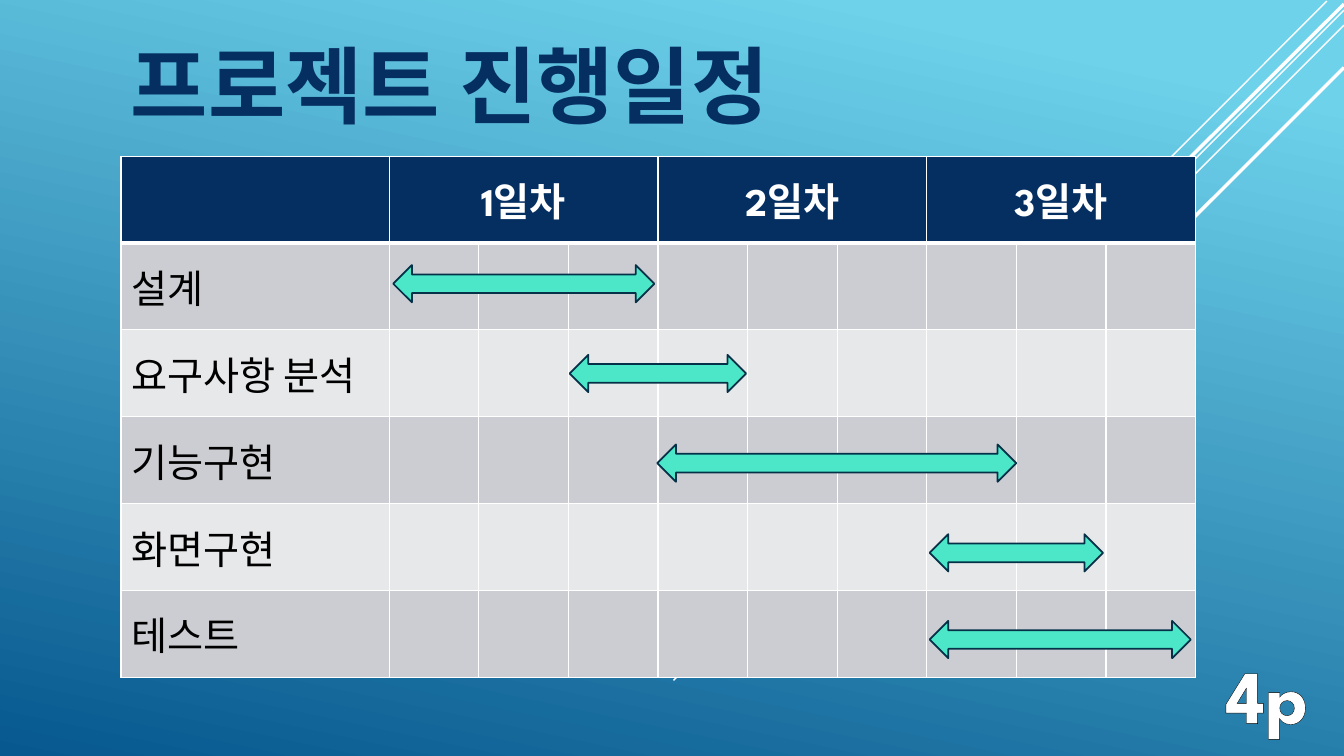
"""Build the three-day project schedule slide."""
from dataclasses import dataclass
from typing import NamedTuple

from lxml import etree
from pptx import Presentation
from pptx.dml.color import RGBColor
from pptx.enum.shapes import MSO_CONNECTOR, MSO_SHAPE
from pptx.enum.text import MSO_ANCHOR, MSO_AUTO_SIZE, PP_ALIGN
from pptx.oxml import parse_xml
from pptx.oxml.ns import nsdecls, qn
from pptx.slide import Slide
from pptx.table import _Cell
from pptx.text.text import TextFrame
from pptx.util import Inches, Pt

STRAIGHT = MSO_CONNECTOR.STRAIGHT
DOUBLE_ARROW = MSO_SHAPE.LEFT_RIGHT_ARROW
MIDDLE = MSO_ANCHOR.MIDDLE
FIT_SHAPE = MSO_AUTO_SIZE.SHAPE_TO_FIT_TEXT
LEFT, CENTER = PP_ALIGN.LEFT, PP_ALIGN.CENTER


@dataclass(frozen=True)
class Theme:
    """Colours, font and type sizes of the slide."""
    font: str = "League Spartan"
    sky: str = "6ED2EB"
    sea: str = "06588E"
    navy: str = "052F61"
    white: str = "FFFFFF"
    black: str = "000000"
    odd_row: str = "CCCDD2"
    even_row: str = "E7E8EA"
    bar: str = "4BE7C8"
    bar_edge: str = "043148"
    title_size: int = 60
    page_size: int = 54
    table_size: int = 28


class Ray(NamedTuple):
    """A diagonal background line, in inches, with its weight in points."""
    x1: float
    y1: float
    x2: float
    y2: float
    weight: float


class Task(NamedTuple):
    """A schedule row and the place of its bar in inches."""
    name: str
    left: float
    top: float
    width: float


THEME = Theme()
RAYS = [
    Ray(13.16, 0.01, 9, 4.18, 1),
    Ray(13.33, 0.1, 6.68, 6.75, 1),
    Ray(13.33, 0.25, 7.91, 5.67, 1),
    Ray(13.33, 0.04, 8.02, 5.34, 2.5),
    Ray(13.33, 0.67, 8.58, 5.42, 2.5),
]
DAYS = ["1일차", "2일차", "3일차"]
SLOTS_PER_DAY = 3
TASKS = [
    Task("설계", 3.9, 2.63, 2.59),
    Task("요구사항 분석", 5.65, 3.52, 1.75),
    Task("기능구현", 6.52, 4.41, 3.56),
    Task("화면구현", 9.22, 5.3, 1.72),
    Task("테스트", 9.22, 6.16, 2.59),
]
TABLE_WIDTH, TABLE_HEIGHT, NAME_WIDTH = 10.66, 5.17, 2.66
BAR_HEIGHT = 0.37


def rgb(value: str) -> RGBColor:
    """Turn a hex string into a colour."""
    return RGBColor.from_string(value)


def line_xml(tag: str, color: str, weight: float) -> etree._Element:
    """Make a solid line element."""
    return parse_xml(
        f'<a:{tag} {nsdecls("a")} w="{int(Pt(weight))}"><a:solidFill>'
        f'<a:srgbClr val="{color}"/></a:solidFill></a:{tag}>')


def write(frame: TextFrame, text: str, size: int, color: str,
          bold: bool = True, align: PP_ALIGN = LEFT) -> None:
    """Set one paragraph of text and format it."""
    frame.text = text
    paragraph = frame.paragraphs[0]
    paragraph.alignment = align
    font = paragraph.runs[0].font
    font.name, font.size, font.bold = THEME.font, Pt(size), bold
    font.color.rgb = rgb(color)


def add_text_frame(slide: Slide, left: float, top: float, width: float,
                   height: float, wrap: bool) -> TextFrame:
    """Add a text box and return its frame."""
    frame = slide.shapes.add_textbox(
        Inches(left), Inches(top), Inches(width), Inches(height)).text_frame
    frame.word_wrap = wrap
    frame.auto_size = FIT_SHAPE
    return frame


def paint_background(slide: Slide) -> None:
    """Fill the background with the sky-to-sea gradient."""
    fill = slide.background.fill
    fill.gradient()
    fill.gradient_angle = 360 - 102
    stops = [(0.1, THEME.sky), (1, THEME.sea)]
    for stop, (position, color) in zip(fill.gradient_stops, stops):
        stop.position = position
        stop.color.rgb = rgb(color)


def add_ray(slide: Slide, ray: Ray) -> None:
    """Draw one white background line."""
    connector = slide.shapes.add_connector(
        STRAIGHT, Inches(ray.x1), Inches(ray.y1), Inches(ray.x2), Inches(ray.y2))
    connector.line.color.rgb = rgb(THEME.white)
    connector.line.width = Pt(ray.weight)
    etree.SubElement(connector._element.spPr, qn("a:effectLst"))


def style_cell(cell: _Cell, row: int) -> None:
    """Give a cell its borders, fill and anchor."""
    top, bottom = (3 if row == 1 else 1), (3 if row == 0 else 1)
    properties = cell._tc.get_or_add_tcPr()
    for tag, weight in [("lnL", 1), ("lnR", 1), ("lnT", top), ("lnB", bottom)]:
        properties.append(line_xml(tag, THEME.white, weight))
    cell.fill.solid()
    body = THEME.odd_row if row % 2 else THEME.even_row
    cell.fill.fore_color.rgb = rgb(body if row else THEME.navy)
    cell.vertical_anchor = MIDDLE


def add_schedule(slide: Slide) -> None:
    """Add the schedule grid with its day and task headings."""
    slots, rows = len(DAYS) * SLOTS_PER_DAY, len(TASKS) + 1
    schedule = slide.shapes.add_table(
        rows, slots + 1, Inches(1.2), Inches(1.55),
        Inches(TABLE_WIDTH), Inches(TABLE_HEIGHT)).table
    schedule.first_row = schedule.horz_banding = False
    for index, column in enumerate(schedule.columns):
        slot_width = (TABLE_WIDTH - NAME_WIDTH) / slots
        column.width = Inches(slot_width if index else NAME_WIDTH)
    for index, row in enumerate(schedule.rows):
        row.height = Inches(TABLE_HEIGHT / rows)
        for cell in row.cells:
            style_cell(cell, index)
    for index, day in enumerate(DAYS):
        first = 1 + index * SLOTS_PER_DAY
        heading = schedule.cell(0, first)
        heading.merge(schedule.cell(0, first + SLOTS_PER_DAY - 1))
        write(heading.text_frame, day, THEME.table_size, THEME.white, align=CENTER)
    for index, task in enumerate(TASKS, 1):
        write(schedule.cell(index, 0).text_frame, task.name,
              THEME.table_size, THEME.black, bold=False)


def add_bar(slide: Slide, task: Task) -> None:
    """Draw the double arrow that spans a task's time."""
    bar = slide.shapes.add_shape(
        DOUBLE_ARROW, Inches(task.left), Inches(task.top),
        Inches(task.width), Inches(BAR_HEIGHT))
    bar.shadow.inherit = False
    bar.fill.solid()
    bar.fill.fore_color.rgb = rgb(THEME.bar)
    bar.line.color.rgb = rgb(THEME.bar_edge)
    bar.line.width = Pt(1.25)


def main() -> None:
    """Assemble and save the slide."""
    deck = Presentation()
    deck.slide_width, deck.slide_height = Inches(13.33), Inches(7.5)
    slide = deck.slides.add_slide(deck.slide_layouts[6])
    paint_background(slide)
    for ray in RAYS:
        add_ray(slide, ray)
    title = add_text_frame(slide, 1.2, 0.28, 6.99, 1.11, wrap=True)
    write(title, "프로젝트 진행일정", THEME.title_size, THEME.navy)
    page = add_text_frame(slide, 12, 6.38, 1.13, 1.01, wrap=False)
    write(page, "4p", THEME.page_size, THEME.white, align=CENTER)
    page_run = page.paragraphs[0].runs[0]
    page_run.font._element.insert(0, line_xml("ln", THEME.black, 0.75))
    add_schedule(slide)
    for task in TASKS:
        add_bar(slide, task)
    deck.save("out.pptx")


main()
